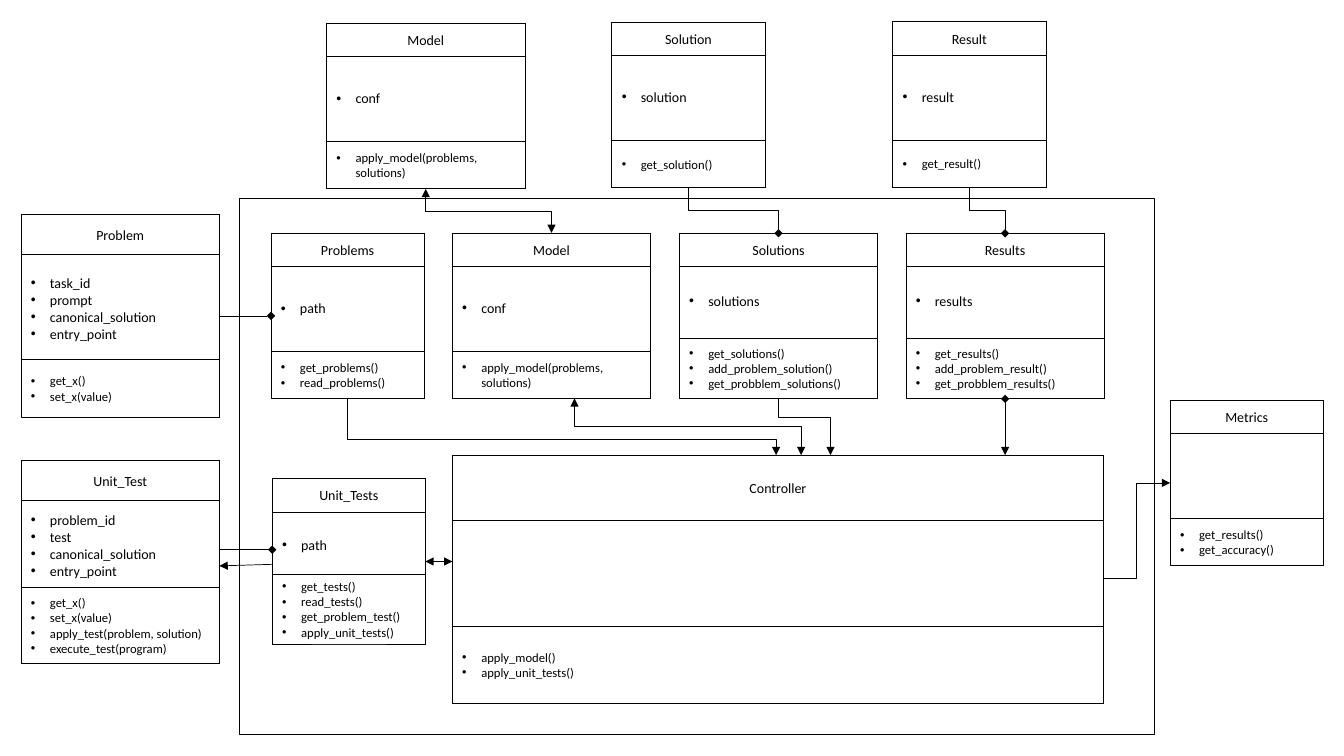
from dataclasses import dataclass

from lxml import etree
from pptx import Presentation
from pptx.dml.color import RGBColor
from pptx.enum.shapes import MSO_CONNECTOR, MSO_SHAPE
from pptx.enum.text import MSO_ANCHOR, PP_ALIGN
from pptx.oxml.ns import qn
from pptx.util import Cm, Pt

RECT = MSO_SHAPE.RECTANGLE
STRAIGHT, ELBOW = MSO_CONNECTOR.STRAIGHT, MSO_CONNECTOR.ELBOW
CENTER, JUSTIFY = PP_ALIGN.CENTER, PP_ALIGN.JUSTIFY
MIDDLE = MSO_ANCHOR.MIDDLE
ARROW, DIAMOND = "triangle", "diamond"
QUARTER_TURN_BACK = "16200000"


@dataclass(frozen=True)
class Theme:
    """Colours, font, type sizes and line width."""
    ink: RGBColor = RGBColor(0, 0, 0)
    paper: RGBColor = RGBColor(255, 255, 255)
    font: str = "Calibri"
    name_size: Pt = Pt(10)
    method_size: Pt = Pt(9)
    line: Pt = Pt(0.5)
    indent: Cm = Cm(0.48)


THEME = Theme()


@dataclass
class UmlClass:
    """A class box in centimetres; lift is the space kept under its fields."""
    name: str
    x: float
    y: float
    fields: tuple
    methods: tuple
    w: float = 5.0
    h: float = 4.17
    head: float = 0.84
    foot: float = 1.19
    lift: float = 0.39

    @property
    def right(self):
        """Right edge."""
        return self.x + self.w

    @property
    def bottom(self):
        """Bottom edge."""
        return self.y + self.h

    @property
    def mid(self):
        """Horizontal centre."""
        return self.x + self.w / 2


SLIM = 3.86
CLASSES = {
    "problem": UmlClass("Problem", 0.53, 5.4,
                        ("task_id", "prompt", "canonical_solution", "entry_point"),
                        ("get_x()", "set_x(value)"), h=5.13, head=1.02, foot=1.48),
    "unit_test": UmlClass("Unit_Test", 0.53, 11.6,
                          ("problem_id", "test", "canonical_solution", "entry_point"),
                          ("get_x()", "set_x(value)", "apply_test(problem, solution)",
                           "execute_test(program)"),
                          h=5.11, head=1.02, foot=1.9, lift=0.82),
    "solution": UmlClass("Solution", 15.42, 0.56, ("solution",), ("get_solution()",), w=SLIM),
    "result": UmlClass("Result", 22.5, 0.55, ("result",), ("get_result()",), w=SLIM),
    "top_model": UmlClass("Model", 8.23, 0.59, ("conf",),
                          ("apply_model(problems, solutions)",)),
    "problems": UmlClass("Problems", 6.83, 5.88, ("path",),
                         ("get_problems()", "read_problems()"), w=SLIM),
    "unit_tests": UmlClass("Unit_Tests", 6.86, 12.06, ("path",),
                           ("get_tests()", "read_tests()", "get_problem_test()",
                            "apply_unit_tests()"), w=SLIM, foot=1.75, lift=0.82),
    "model": UmlClass("Model", 11.4, 5.87, ("conf",), ("apply_model(problems, solutions)",)),
    "solutions": UmlClass("Solutions", 17.12, 5.88, ("solutions",),
                          ("get_solutions()", "add_problem_solution()",
                           "get_probblem_solutions()"), foot=1.53, lift=0.78),
    "results": UmlClass("Results", 22.83, 5.88, ("results",),
                        ("get_results()", "add_problem_result()",
                         "get_probblem_results()"), foot=1.53, lift=0.78),
    "controller": UmlClass("Controller", 11.4, 11.47, (),
                           ("apply_model()", "apply_unit_tests()"),
                           w=16.41, h=6.25, head=1.64, foot=1.93),
    "metrics": UmlClass("Metrics", 29.49, 10.09, (),
                        ("get_results()", "get_accuracy()"), w=SLIM),
}


def add_box(shapes, x, y, w, h):
    """Add a white rectangle with a thin outline."""
    sp = shapes.add_shape(RECT, Cm(x), Cm(y), Cm(w), Cm(h))
    sp.shadow.inherit = False
    sp.fill.solid()
    sp.fill.fore_color.rgb = THEME.paper
    sp.line.color.rgb = THEME.ink
    sp.line.width = THEME.line
    return sp


def add_bullet(p):
    """Give a paragraph a round bullet and a hanging indent."""
    pPr = p._p.get_or_add_pPr()
    pPr.set("marL", str(THEME.indent))
    pPr.set("indent", str(-THEME.indent))
    etree.SubElement(pPr, qn("a:buFont"), typeface="Arial")
    etree.SubElement(pPr, qn("a:buChar"), char="•")


def write_lines(sp, lines, size, bulleted=True, lift=0):
    """Write one paragraph per line, centred vertically above the lift."""
    tf = sp.text_frame
    tf.word_wrap = True
    tf.vertical_anchor = MIDDLE
    tf.margin_top, tf.margin_bottom = Cm(0), Cm(lift)
    for i, line in enumerate(lines):
        p = tf.add_paragraph() if i else tf.paragraphs[0]
        p.alignment = JUSTIFY if bulleted else CENTER
        if bulleted:
            add_bullet(p)
        r = p.add_run()
        r.text = line
        r.font.name = THEME.font
        r.font.size = size
        r.font.color.rgb = THEME.ink


def add_class(s, c):
    """Add a grouped class box: fields, name and methods."""
    shapes = s.shapes.add_group_shape().shapes
    body = add_box(shapes, c.x, c.y, c.w, c.h)
    write_lines(body, c.fields, THEME.name_size, lift=c.lift)
    title = add_box(shapes, c.x, c.y, c.w, c.head)
    write_lines(title, [c.name], THEME.name_size, bulleted=False)
    methods = add_box(shapes, c.x, c.bottom - c.foot, c.w, c.foot)
    write_lines(methods, c.methods, THEME.method_size)


def add_link(s, start, end, head=None, tail=None, kind=STRAIGHT):
    """Add a connector with optional ends at its start and end."""
    link = s.shapes.add_connector(kind, *(Cm(v) for v in (*start, *end)))
    link.line.color.rgb = THEME.ink
    link.line.width = THEME.line
    ln = link.line._get_or_add_ln()
    for tag, shape in (("a:headEnd", head), ("a:tailEnd", tail)):
        if shape:
            etree.SubElement(ln, qn(tag), type=shape)
    etree.SubElement(link._element.spPr, qn("a:effectLst"))
    return link


def add_drop(s, start, end, head=None, tail=None, bend=0.5):
    """Add an elbow that leaves downwards and turns at the bend share."""
    (x1, y1), (x2, y2) = start, end
    cx, cy, half_w, half_h = (x1 + x2) / 2, (y1 + y2) / 2, (x2 - x1) / 2, (y2 - y1) / 2
    link = add_link(s, (cx + half_h, cy - half_w), (cx - half_h, cy + half_w),
                    head, tail, ELBOW)
    spPr = link._element.spPr
    spPr.find(qn("a:xfrm")).set("rot", QUARTER_TURN_BACK)
    geom = spPr.find(qn("a:prstGeom"))
    av = geom.find(qn("a:avLst"))
    if av is None:
        av = etree.SubElement(geom, qn("a:avLst"))
    etree.SubElement(av, qn("a:gd"), name="adj1", fmla=f"val {round(bend * 100000)}")


def add_links(s):
    """Connect the classes."""
    c = CLASSES
    ctrl, tests = c["controller"], c["unit_tests"]
    for single, many, y in (("problem", "problems", 7.96), ("unit_test", "unit_tests", 13.85)):
        add_link(s, (c[single].right, y), (c[many].x, y), tail=DIAMOND)
    add_link(s, (c["unit_test"].right, 14.26), (tests.x, 14.22), head=ARROW)
    add_link(s, (ctrl.x, 14.15), (tests.right, 14.15), ARROW, ARROW)
    results = c["results"]
    add_link(s, (results.mid, results.bottom), (results.mid, ctrl.y), DIAMOND, ARROW)
    for upper, lower, head, tail in (("top_model", "model", ARROW, ARROW),
                                     ("solution", "solutions", None, DIAMOND),
                                     ("result", "results", None, DIAMOND)):
        add_drop(s, (c[upper].mid, c[upper].bottom), (c[lower].mid, c[lower].y), head, tail)
    for name, x1, x2, head, bend in (("problems", c["problems"].mid, 19.56, None, 0.72),
                                     ("solutions", c["solutions"].mid, 20.93, None, 0.33),
                                     ("model", 14.48, 20.19, ARROW, 0.5)):
        add_drop(s, (x1, c[name].bottom), (x2, ctrl.y), head, ARROW, bend)
    add_link(s, (ctrl.right, 14.58), (c["metrics"].x, 12.17), tail=ARROW, kind=ELBOW)


def main():
    """Build the class diagram."""
    prs = Presentation()
    prs.slide_width, prs.slide_height = Cm(33.87), Cm(19.05)
    s = prs.slides.add_slide(prs.slide_layouts[6])
    add_box(s.shapes, 6.04, 5.0, 23.06, 13.5)
    for uml_class in CLASSES.values():
        add_class(s, uml_class)
    add_links(s)
    prs.save("out.pptx")


main()
